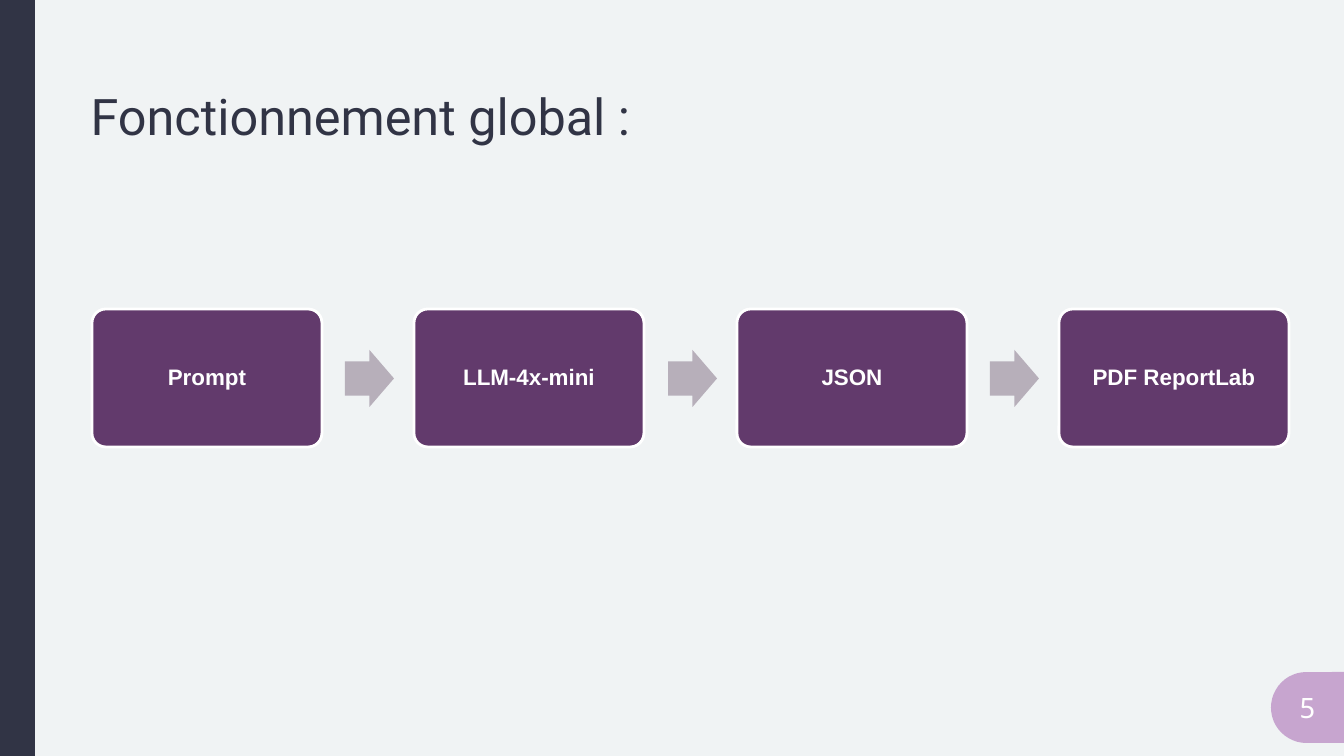
import pptx
import pptx.util
import pptx.dml.color
import pptx.enum.shapes
import pptx.enum.text

SHAPES = pptx.enum.shapes.MSO_SHAPE
ALIGN = pptx.enum.text.PP_ALIGN
ANCHOR = pptx.enum.text.MSO_ANCHOR

EMU_PER_PX = 914400 / 100.8


def px(length):
    return pptx.util.Emu(round(length * EMU_PER_PX))


def color(value):
    return pptx.dml.color.RGBColor.from_string(value)


class FlowSlide:
    BACKGROUND = "F0F3F4"
    DARK = "313445"
    NODE = "623A6C"
    ARROW = "B7AFBA"
    TAB = "C7A5CF"
    WHITE = "FFFFFF"

    def __init__(self, presentation):
        self.slide = presentation.slides.add_slide(presentation.slide_layouts[6])
        background = self.slide.background.fill
        background.solid()
        background.fore_color.rgb = color(self.BACKGROUND)

    def shape(self, kind, left, top, width, height, fill, adjustments=()):
        shape = self.slide.shapes.add_shape(
            kind, px(left), px(top), px(width), px(height))
        shape.shadow.inherit = False
        shape.fill.solid()
        shape.fill.fore_color.rgb = color(fill)
        shape.line.fill.background()
        for index, value in enumerate(adjustments):
            shape.adjustments[index] = value
        return shape

    def label(self, shape, text, size, font, fill, align, inset, bold=False):
        frame = shape.text_frame
        frame.text = text
        frame.word_wrap = True
        frame.margin_left = frame.margin_right = px(inset)
        frame.margin_top = frame.margin_bottom = px(inset)
        paragraph = frame.paragraphs[0]
        paragraph.alignment = align
        for run in paragraph.runs:
            run.font.size = pptx.util.Pt(size)
            run.font.name = font
            run.font.bold = bold
            run.font.color.rgb = color(fill)
        return frame

    def text(self, left, top, width, height, *style):
        box = self.slide.shapes.add_textbox(
            px(left), px(top), px(width), px(height))
        return self.label(box, *style)

    def node(self, left, top, name):
        box = self.shape(SHAPES.ROUNDED_RECTANGLE, left, top, 230, 138,
                         self.NODE, [0.1])
        box.line.color.rgb = color(self.WHITE)
        box.line.width = pptx.util.Pt(2)
        frame = self.label(box, name, 16, "Arial", self.WHITE,
                           ALIGN.CENTER, 7, True)
        frame.vertical_anchor = ANCHOR.MIDDLE
        frame.paragraphs[0].line_spacing = 0.9

    def arrow(self, left, top):
        self.shape(SHAPES.RIGHT_ARROW, left, top, 49, 57, self.ARROW, [0.6, 0.5])

    def page_number(self, number):
        tab = self.shape(SHAPES.ROUND_2_SAME_RECTANGLE, 1272, 671, 71, 73,
                         self.TAB, [0.5, 0])
        tab.rotation = 270
        frame = self.text(1289, 685, 37, 44, number, 20, "Noto Sans Mono",
                          self.WHITE, ALIGN.CENTER, 5)
        frame.word_wrap = False


def main():
    presentation = pptx.Presentation()
    presentation.slide_width = px(1344)
    presentation.slide_height = px(756)
    page = FlowSlide(presentation)

    # Side band and title
    page.shape(SHAPES.RECTANGLE, 0, 0, 35, 756, page.DARK)
    page.text(74, 75, 579, 91, "Fonctionnement global : ", 36, "Roboto",
              page.DARK, ALIGN.RIGHT, 10)

    # Processing chain, an arrow before every step but the first
    steps = ["Prompt", "LLM-4x-mini", "JSON", "PDF ReportLab"]
    pitch = 645 / 2
    for index, name in enumerate(steps):
        left = 92 + int(index * pitch)
        if index:
            page.arrow(left - 69, 350)
        page.node(left, 309, name)

    # Page number
    page.page_number("5")

    presentation.save("out.pptx")


if __name__ == "__main__":
    main()
